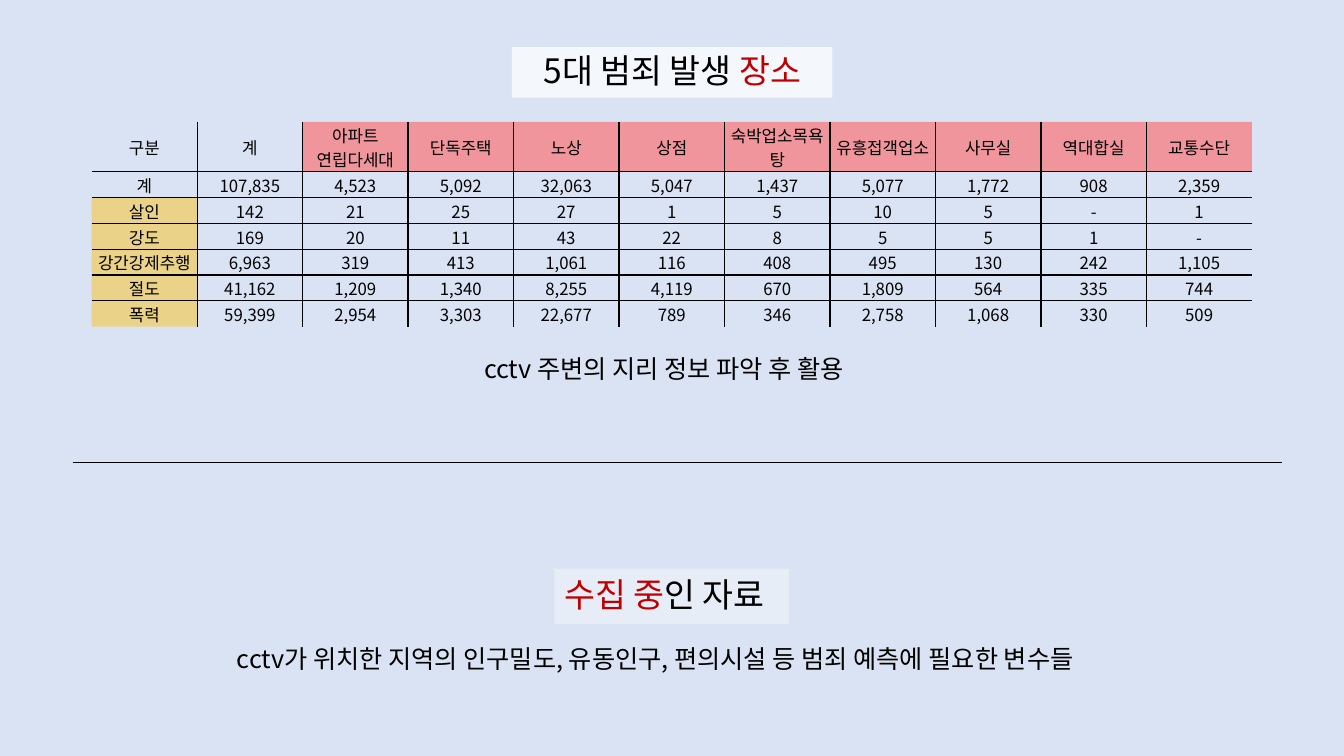
import lxml.etree
import pptx
import pptx.dml.color
import pptx.enum.shapes
import pptx.enum.text
import pptx.oxml.ns
import pptx.util

Cm = pptx.util.Cm
Align = pptx.enum.text.PP_ALIGN
Anchor = pptx.enum.text.MSO_ANCHOR

# Content
HEADERS = ["구분", "계", "아파트 연립다세대", "단독주택", "노상", "상점", "숙박업소목욕탕",
           "유흥접객업소", "사무실", "역대합실", "교통수단"]
CRIMES = [
    ["계", "107,835", "4,523", "5,092", "32,063", "5,047", "1,437", "5,077", "1,772", "908", "2,359"],
    ["살인", "142", "21", "25", "27", "1", "5", "10", "5", "-", "1"],
    ["강도", "169", "20", "11", "43", "22", "8", "5", "5", "1", "-"],
    ["강간강제추행", "6,963", "319", "413", "1,061", "116", "408", "495", "130", "242", "1,105"],
    ["절도", "41,162", "1,209", "1,340", "8,255", "4,119", "670", "1,809", "564", "335", "744"],
    ["폭력", "59,399", "2,954", "3,303", "22,677", "789", "346", "2,758", "1,068", "330", "509"],
]
PLACES_HEADING = [("5대 범죄 발생 ", "text"), ("장소", "accent")]
DATA_HEADING = [("수집 중", "accent"), ("인 자료", "text")]
# Text, then left, top, width and height in centimetres
NOTES = [
    (" cctv 주변의 지리 정보 파악 후 활용", (11.81, 8.79, 10.24, 1.02)),
    ("cctv가 위치한 지역의 인구밀도, 유동인구, 편의시설 등 범죄 예측에 필요한 변수들",
     (5.72, 16.08, 22.45, 1.02)),
]


class Theme:
    font = "Noto Sans CJK KR"
    colours = {"text": "000000", "accent": "C00000", "page": "DAE3F3",
               "panel": "FFFFFF", "place": "FF6565", "crime": "FFC000"}
    heading, note, cell = 24, 18, 12
    cell_border, divider = 1, 0.5


def colour(name):
    return pptx.dml.color.RGBColor.from_string(Theme.colours[name])


def paint(fill, name, opacity, element):
    """Solid fill with an opacity in percent."""
    fill.solid()
    fill.fore_color.rgb = colour(name)
    tint = element.find(pptx.oxml.ns.qn("a:solidFill"))[0]
    lxml.etree.SubElement(tint, pptx.oxml.ns.qn("a:alpha"), val=str(opacity * 1000))


def style(span, size, name="text"):
    span.font.size = pptx.util.Pt(size)
    span.font.bold = False
    span.font.color.rgb = colour(name)
    span.font.name = Theme.font
    lxml.etree.SubElement(span.font._element, pptx.oxml.ns.qn("a:ea"), typeface=Theme.font)


def write_heading(box, spans, opacity, align):
    paint(box.fill, "panel", opacity, box._element.spPr)
    frame = box.text_frame
    frame.word_wrap = True
    frame.auto_size = pptx.enum.text.MSO_AUTO_SIZE.NONE
    frame.vertical_anchor = Anchor.MIDDLE
    para = frame.paragraphs[0]
    para.alignment = align
    para.line_spacing = 0.9
    for words, name in spans:
        span = para.add_run()
        span.text = words
        style(span, Theme.heading, name)


def draw_borders(cell, visible):
    for side in ("L", "R", "T", "B"):
        edge = lxml.etree.SubElement(cell._tc.get_or_add_tcPr(), pptx.oxml.ns.qn("a:ln" + side),
                                     w=str(pptx.util.Pt(Theme.cell_border)))
        if side in visible:
            ink = lxml.etree.SubElement(edge, pptx.oxml.ns.qn("a:solidFill"))
            lxml.etree.SubElement(ink, pptx.oxml.ns.qn("a:srgbClr"), val=Theme.colours["text"])
        else:
            lxml.etree.SubElement(edge, pptx.oxml.ns.qn("a:noFill"))


def add_crime_table(page):
    rows = [HEADERS] + CRIMES
    last_row, last_column = len(rows) - 1, len(HEADERS) - 1
    width = Cm(29.24)
    table = page.shapes.add_table(len(rows), len(HEADERS), Cm(2.31), Cm(3.07),
                                  width, Cm(5.13)).table
    table.first_row = table.horz_banding = False
    for column in table.columns:
        column.width = width // len(HEADERS)
    for r, values in enumerate(rows):
        table.rows[r].height = Cm(0.65 if r else 1.24)
        for c, value in enumerate(values):
            cell = table.cell(r, c)
            cell.text = value
            cell.vertical_anchor = Anchor.MIDDLE
            cell.margin_left = cell.margin_right = cell.margin_top = Cm(0.03)
            cell.margin_bottom = 0
            para = cell.text_frame.paragraphs[0]
            para.alignment = Align.CENTER
            style(para.runs[0], Theme.cell)
            # Only inner edges are ruled
            inner = {"L": c > 0, "R": c < last_column, "T": r > 0, "B": r < last_row}
            draw_borders(cell, [side for side, shown in inner.items() if shown])
            if r == 0 and c > 1:
                paint(cell.fill, "place", 61, cell._tc.tcPr)
            elif r > 1 and c == 0:
                paint(cell.fill, "crime", 44, cell._tc.tcPr)
            else:
                cell.fill.background()


def main():
    deck = pptx.Presentation()
    deck.slide_width, deck.slide_height = Cm(33.87), Cm(19.05)
    page = deck.slides.add_slide(deck.slide_layouts[5])
    page.background.fill.solid()
    page.background.fill.fore_color.rgb = colour("page")

    # Crime places: heading and table
    title = page.shapes.title
    title.left, title.top, title.width, title.height = Cm(12.9), Cm(1.19), Cm(8.08), Cm(1.27)
    write_heading(title, PLACES_HEADING, 73, Align.CENTER)
    add_crime_table(page)

    # Notes under each heading
    for words, place in NOTES:
        box = page.shapes.add_textbox(*map(Cm, place))
        box.text_frame.word_wrap = True
        box.text_frame.text = words
        style(box.text_frame.paragraphs[0].runs[0], Theme.note)

    # Data being collected: heading
    panel = page.shapes.add_shape(pptx.enum.shapes.MSO_SHAPE.RECTANGLE,
                                  Cm(13.97), Cm(14.33), Cm(5.92), Cm(1.4))
    panel.shadow.inherit = False
    panel.line.fill.background()
    write_heading(panel, DATA_HEADING, 36, Align.LEFT)

    # Divider between the two halves
    divider = page.shapes.add_connector(pptx.enum.shapes.MSO_CONNECTOR.STRAIGHT,
                                        Cm(1.83), Cm(11.66), Cm(32.31), Cm(11.66))
    divider.line.color.rgb = colour("text")
    divider.line.width = pptx.util.Pt(Theme.divider)
    lxml.etree.SubElement(divider._element.spPr, pptx.oxml.ns.qn("a:effectLst"))

    deck.save("out.pptx")


if __name__ == "__main__":
    main()
